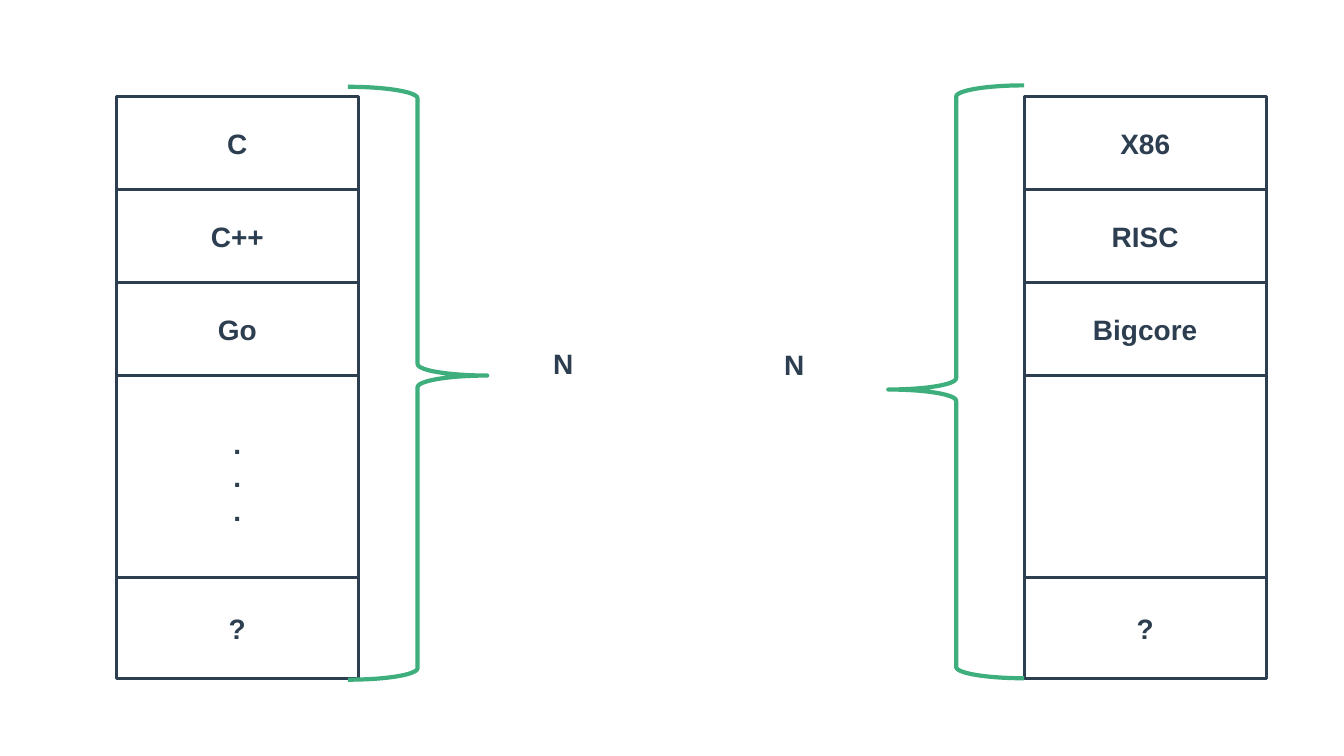
from itertools import accumulate

from pptx import Presentation
from pptx.dml.color import RGBColor
from pptx.enum.shapes import MSO_SHAPE as Preset
from pptx.enum.text import MSO_ANCHOR as Anchor, MSO_AUTO_SIZE as AutoSize, PP_ALIGN as Align
from pptx.util import Pt


def color(value):
    return RGBColor.from_string(value)


class Diagram:
    """Draws stacks, braces and labels in one style on a slide."""

    ink, accent = "2C3E50", "3EAF7C"
    font, size = "Arial", 20

    def __init__(self, page):
        self.page = page

    def set_text(self, box, text, align):
        frame = box.text_frame
        frame.word_wrap = True
        frame.text = text
        for para in frame.paragraphs:
            para.alignment = align
            for span in para.runs:
                span.font.name = self.font
                span.font.size = Pt(self.size)
                span.font.bold = True
                span.font.color.rgb = color(self.ink)

    def outline(self, preset, left, top, width, height, line, weight):
        shape = self.page.shapes.add_shape(preset, Pt(left), Pt(top), Pt(width), Pt(height))
        shape.shadow.inherit = False
        shape.fill.background()
        shape.line.color.rgb = color(line)
        shape.line.width = Pt(weight)
        return shape

    def stack(self, left, top, width, heights, texts):
        tops = accumulate(heights, initial=top)
        for row_top, height, text in zip(tops, heights, texts):
            cell = self.outline(Preset.RECTANGLE, left, row_top, width, height, self.ink, 2.25)
            cell.text_frame.vertical_anchor = Anchor.MIDDLE
            if text:
                self.set_text(cell, text, Align.CENTER)

    def brace(self, left, top, width, height, rotation=0):
        brace = self.outline(Preset.LEFT_BRACE, left, top, width, height, self.accent, 3)
        brace.adjustments[0] = 0.083
        brace.adjustments[1] = 0.513
        brace.rotation = rotation

    def label(self, left, top, width, height, text):
        box = self.page.shapes.add_textbox(Pt(left), Pt(top), Pt(width), Pt(height))
        self.set_text(box, text, Align.LEFT)
        box.text_frame.auto_size = AutoSize.SHAPE_TO_FIT_TEXT


def main():
    deck = Presentation()
    deck.slide_width, deck.slide_height = Pt(960), Pt(540)
    diagram = Diagram(deck.slides.add_slide(deck.slide_layouts[6]))

    heights = [66.5, 66.5, 66.5, 144, 72]
    languages = ["C", "C++", "Go", ".\n.\n.", "?"]
    targets = ["X86", "RISC", "Bigcore", "", "?"]
    for left, texts in ((83, languages), (731.5, targets)):
        diagram.stack(left, 69, 173, heights, texts)

    diagram.brace(634.5, 61, 97, 423.5)
    diagram.brace(248.5, 62, 99.5, 423.5, rotation=180)

    for left, top in ((388, 244), (553, 245)):
        diagram.label(left, top, 59, 31.5, "N")

    deck.save("out.pptx")


if __name__ == "__main__":
    main()
